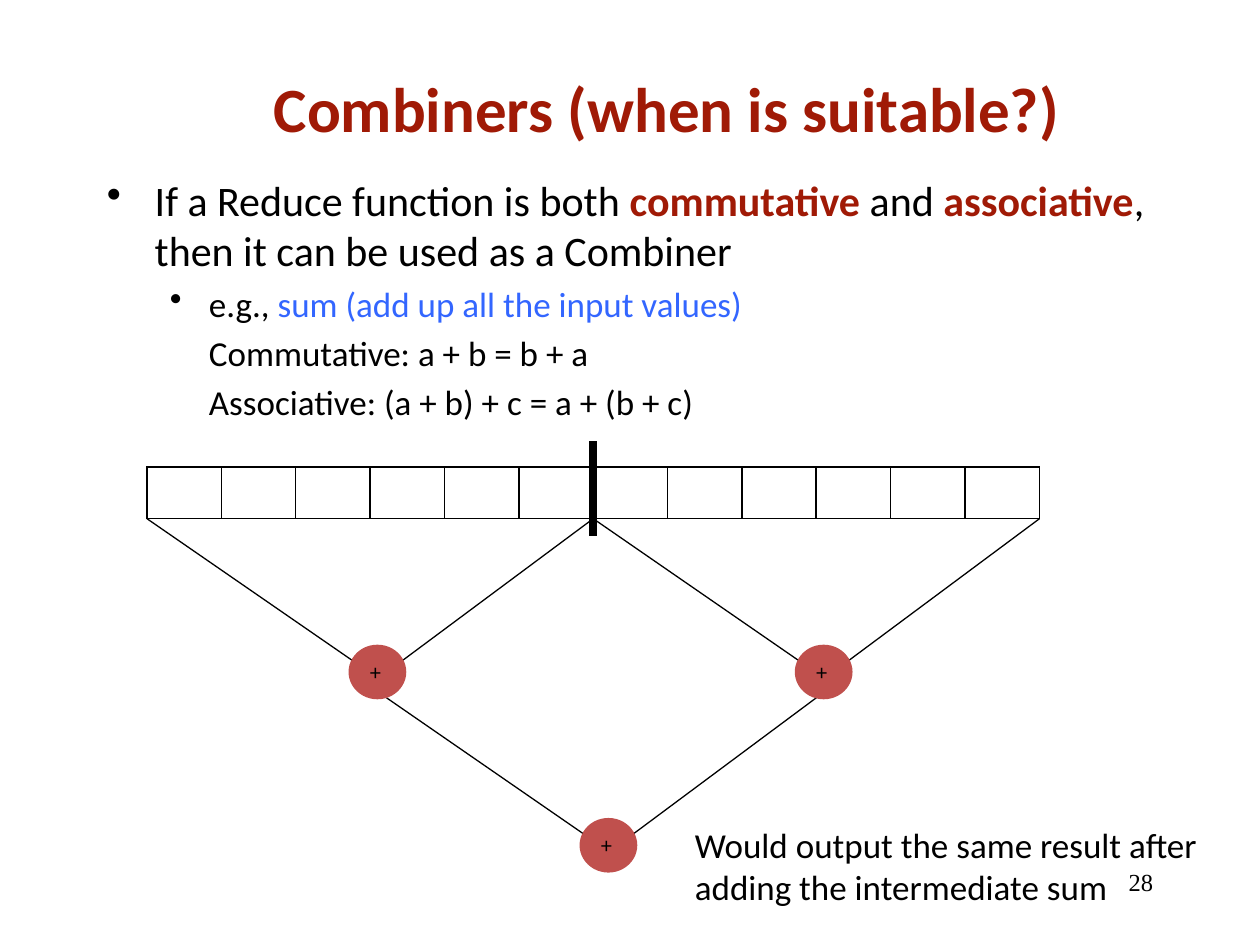
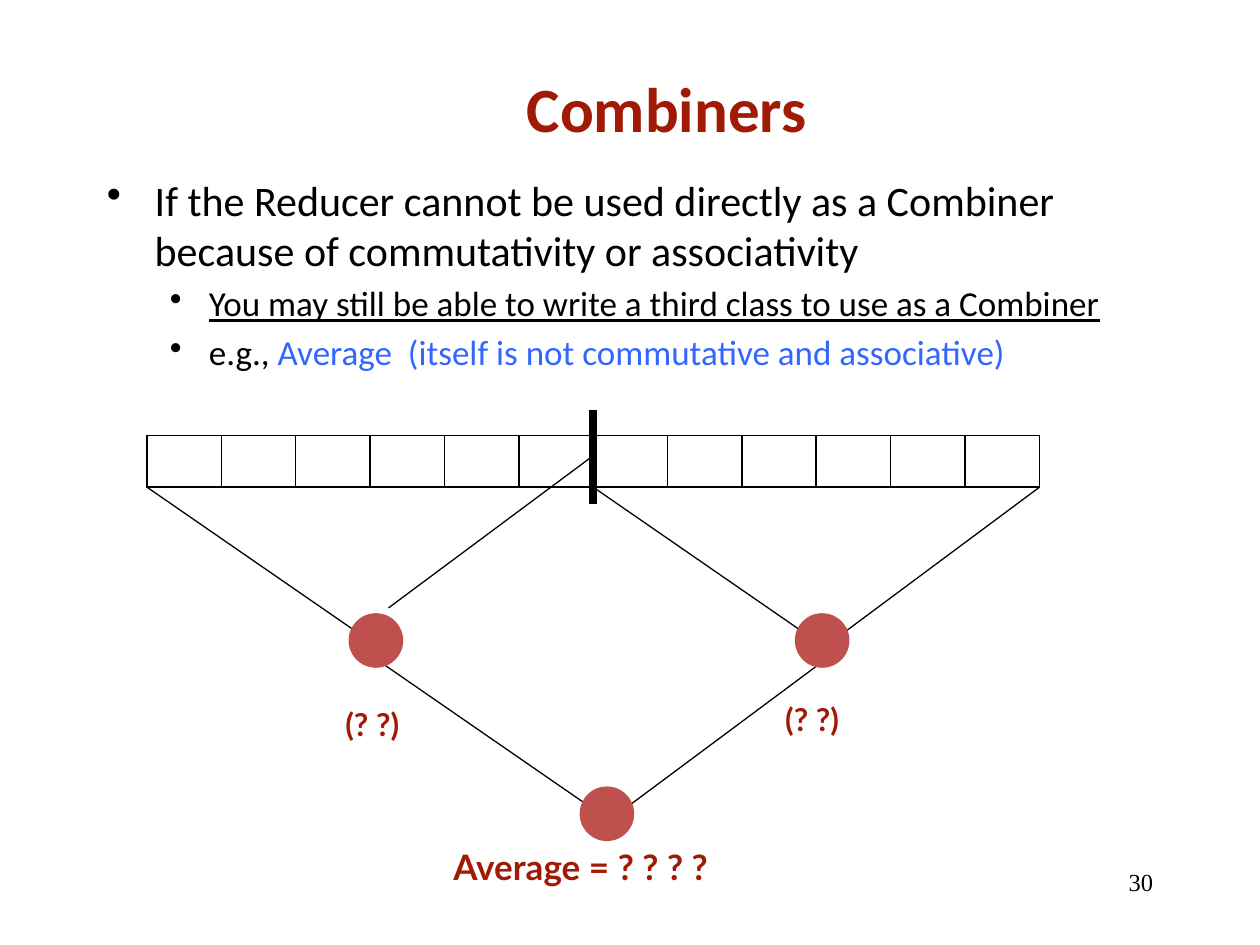
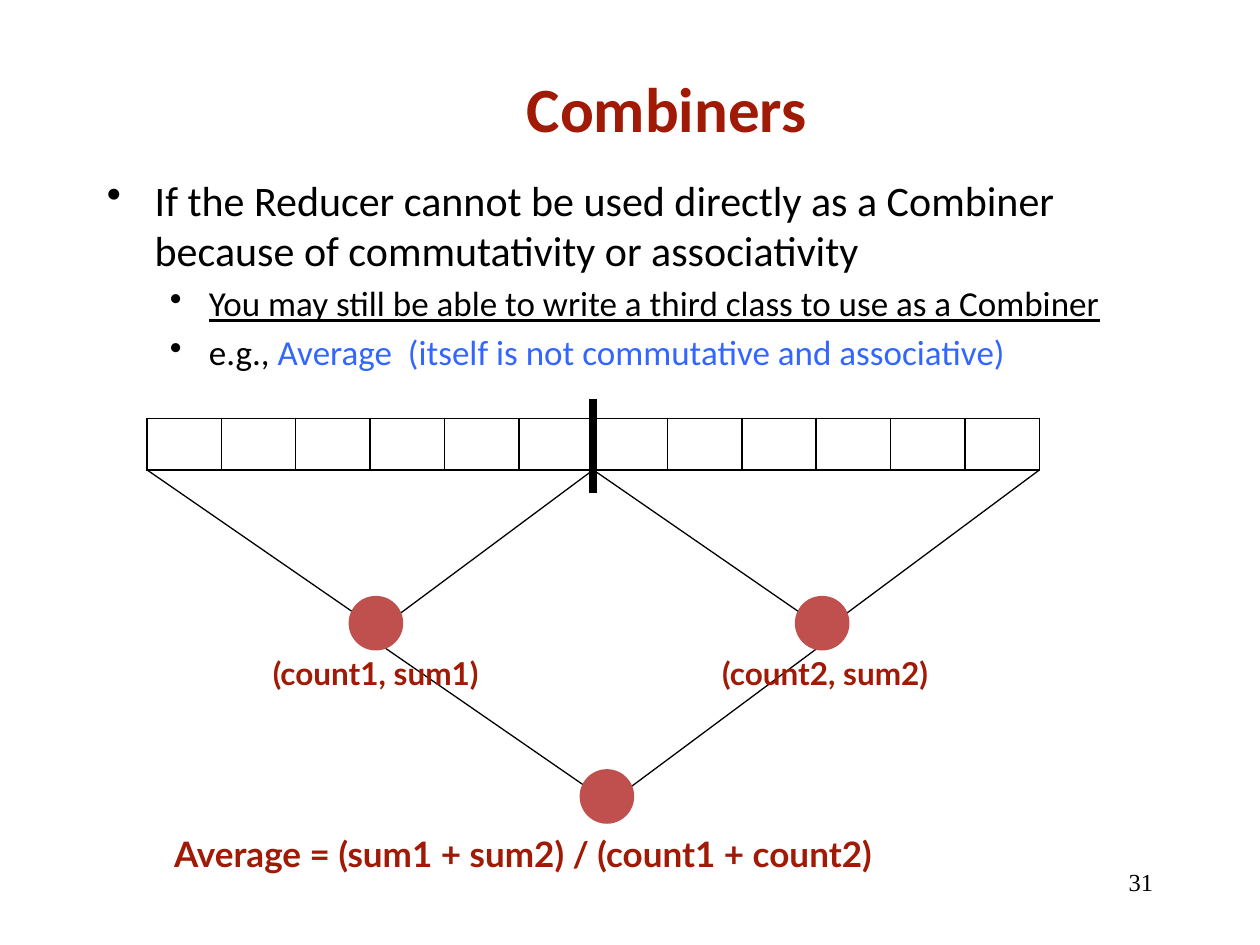
import pptx
import pptx.util
import pptx.dml.color
import pptx.enum.shapes
import pptx.enum.text
import pptx.oxml
import pptx.oxml.ns

BLACK = pptx.dml.color.RGBColor(0x00, 0x00, 0x00)
WHITE = pptx.dml.color.RGBColor(0xFF, 0xFF, 0xFF)
DARK_RED = pptx.dml.color.RGBColor(0xA0, 0x1A, 0x06)
NODE_RED = pptx.dml.color.RGBColor(0xC0, 0x50, 0x4D)
BLUE = pptx.dml.color.RGBColor(0x33, 0x66, 0xFF)

ALIGN = pptx.enum.text.PP_ALIGN
BODY_FONT, LABEL_FONT, NUMBER_FONT = "Calibri", "Lato", "Times New Roman"

# Boxes are (column, row, columns, rows) on a grid of 120 by 90 squares.
SLIDE_WIDTH, SLIDE_HEIGHT = pptx.util.Inches(10), pptx.util.Inches(7.5)
UNIT = SLIDE_WIDTH / 120
TITLE_BOX = (11, 6, 105, 15)
NUMBER_BOX = (86, 82, 25, 6)
STRIP_LEFT, STRIP_WIDTH, STRIP_HEIGHT, VALUES = 14, 85, 4.9, 12
SPAN = STRIP_WIDTH / 2
BAR_HEIGHT = 9

RED_BOLD = {"color": DARK_RED, "bold": True}
TOP_LEVEL = {"size": 24, "margin": 0.38, "hanging": 0.38}
SUB_LEVEL = {"size": 20, "margin": 0.81, "hanging": 0.31, "before": 4}
SUB_PLAIN = {"size": 20, "margin": 0.81, "before": 4}


def grid(*lengths):
    return [round(length * UNIT) for length in lengths]


def write_paragraph(paragraph, runs, size=20, font=BODY_FONT, color=BLACK, bold=False,
                    underline=False, align=ALIGN.LEFT, margin=0, hanging=0, before=0):
    """Write runs, each a string or a (string, changed format) pair; a hanging indent has a bullet."""
    paragraph.alignment = align
    paragraph.space_before = pptx.util.Pt(before)
    properties = paragraph._p.get_or_add_pPr()
    properties.set("marL", str(pptx.util.Inches(margin)))
    properties.set("indent", str(-pptx.util.Inches(hanging)))
    if hanging:
        bullet = pptx.oxml.parse_xml(f'<a:buChar {pptx.oxml.ns.nsdecls("a")} char="•"/>')
        properties.append(bullet)
    for part in [runs] if isinstance(runs, str) else runs:
        words, change = (part, {}) if isinstance(part, str) else part
        run = paragraph.add_run()
        run.text = words
        run.font.name = font
        run.font.size = pptx.util.Pt(size)
        run.font.bold = change.get("bold", bold)
        run.font.underline = change.get("underline", underline)
        run.font.color.rgb = change.get("color", color)


def add_text(slide, box, text, **style):
    frame = slide.shapes.add_textbox(*grid(*box)).text_frame
    frame.word_wrap = True
    write_paragraph(frame.paragraphs[0], text, **style)
    return frame


def add_line(slide, start, end, width=0.75):
    line = slide.shapes.add_connector(pptx.enum.shapes.MSO_CONNECTOR.STRAIGHT,
                                      *grid(*start, *end))
    line.line.color.rgb = BLACK
    line.line.width = pptx.util.Pt(width)
    line._element.spPr.append(
        pptx.oxml.parse_xml(f'<a:effectLst {pptx.oxml.ns.nsdecls("a")}/>'))


def add_node(slide, left, top, width, sign):
    node = slide.shapes.add_shape(pptx.enum.shapes.MSO_SHAPE.OVAL,
                                  *grid(left, top, width, 5.2))
    node.shadow.inherit = False
    node.fill.solid()
    node.fill.fore_color.rgb = NODE_RED
    node.line.fill.background()
    if sign:
        node.text_frame.word_wrap = True
        write_paragraph(node.text_frame.paragraphs[0], sign, size=12, font=LABEL_FONT)


def add_fork(slide, left, top, node_width, sign, right_lift=0):
    """Join the two ends of a span in a node below it."""
    right = left + SPAN
    add_line(slide, (left, top), (left + 21, top + 14.5))
    add_line(slide, (right, top - right_lift), (right - 19.5, top + 14.5 - right_lift))
    add_node(slide, left + 19.2, top + 12, node_width, sign)


def add_border(cell):
    properties = cell._tc.get_or_add_tcPr()
    for side in "LRTB":
        properties.append(pptx.oxml.parse_xml(
            f'<a:ln{side} {pptx.oxml.ns.nsdecls("a")} w="{pptx.util.Pt(1)}">'
            f'<a:solidFill><a:srgbClr val="{BLACK}"/></a:solidFill></a:ln{side}>'))


def add_value_strip(slide, top):
    table = slide.shapes.add_table(
        1, VALUES, *grid(STRIP_LEFT, top, STRIP_WIDTH, STRIP_HEIGHT)).table
    table.first_row = table.horz_banding = False
    for column, cell in zip(table.columns, table.rows[0].cells):
        column.width = grid(STRIP_WIDTH / VALUES)[0]
        add_border(cell)
        cell.fill.background()


def add_combine_tree(slide, top, bar_top, node_width=5.2, sign="", lift=0):
    """Draw the values, the bar that halves them, and the forks that combine them."""
    add_value_strip(slide, top)
    middle, bottom = STRIP_LEFT + SPAN, top + STRIP_HEIGHT
    add_line(slide, (middle, bar_top), (middle, bar_top + BAR_HEIGHT), width=4.5)
    add_fork(slide, STRIP_LEFT + 22, bottom + 16.5, node_width, sign)
    add_fork(slide, STRIP_LEFT, bottom, node_width, sign, right_lift=lift)
    add_fork(slide, middle, bottom, node_width, sign)


def add_slide(deck, title, number, bullets, body_rows):
    slide = deck.slides.add_slide(deck.slide_layouts[6])
    slide.background.fill.solid()
    slide.background.fill.fore_color.rgb = WHITE
    (first, first_style), *others = bullets
    body = add_text(slide, (9, 16, 102, body_rows), first, **first_style)
    for runs, style in others:
        write_paragraph(body.add_paragraph(), runs, **style)
    add_text(slide, TITLE_BOX, title, size=36, align=ALIGN.CENTER, **RED_BOLD)
    add_text(slide, NUMBER_BOX, number, size=14, font=NUMBER_FONT, align=ALIGN.RIGHT)
    return slide


def add_sum_slide(deck):
    bullets = [
        (["If a Reduce function is both ", ("commutative", RED_BOLD), " and ",
          ("associative", RED_BOLD), ", then it can be used as a Combiner"], TOP_LEVEL),
        (["e.g., ", ("sum (add up all the input values)", {"color": BLUE})], SUB_LEVEL),
        ("Commutative: a + b = b + a", SUB_PLAIN),
        ("Associative: (a + b) + c = a + (b + c)", SUB_PLAIN),
    ]
    slide = add_slide(deck, "Combiners (when is suitable?)", "28", bullets, 62)
    add_combine_tree(slide, top=44.5, bar_top=42, node_width=5.5, sign="+")
    add_text(slide, (65, 77.8, 53, 9.2),
             "Would output the same result after adding the intermediate sum")


def add_average_slide(deck, number, tree, pairs, average):
    """Add a slide whose pairs and average are (text, box)."""
    bullets = [
        ("If the Reducer cannot be used directly as a Combiner because of "
         "commutativity or associativity", TOP_LEVEL),
        ([("You may still be able to write a third class to use as a Combiner",
           {"underline": True})], SUB_LEVEL),
        (["e.g., ", ("Average  (itself is not commutative and associative)",
                     {"color": BLUE})], SUB_LEVEL),
    ]
    slide = add_slide(deck, "Combiners", number, bullets, 71)
    add_combine_tree(slide, **tree)
    for text, box in pairs:
        add_text(slide, box, text, size=18, font=LABEL_FONT, **RED_BOLD)
    text, box = average
    add_text(slide, box, text, size=20, font=LABEL_FONT, **RED_BOLD)


def main():
    deck = pptx.Presentation()
    deck.slide_width, deck.slide_height = SLIDE_WIDTH, SLIDE_HEIGHT
    add_sum_slide(deck)
    add_average_slide(
        deck, "30", {"top": 41.5, "bar_top": 39, "lift": 3},
        [("(? ?)", (31.7, 66.6, 9.5, 4.8)), ("(? ?)", (73.6, 66.1, 9.5, 4.8))],
        ("Average = ? ? ? ?", (42, 79.9, 31.7, 5.3)))
    add_average_slide(
        deck, "31", {"top": 39.85, "bar_top": 38},
        [("(count1, sum1)", (24.8, 61.7, 25.8, 4.8)),
         ("(count2, sum2)", (67.6, 61.7, 25.8, 4.8))],
        ("Average = (sum1 + sum2) / (count1 + count2)", (15.4, 78.7, 82.3, 5.3)))
    deck.save("out.pptx")


if __name__ == "__main__":
    main()
